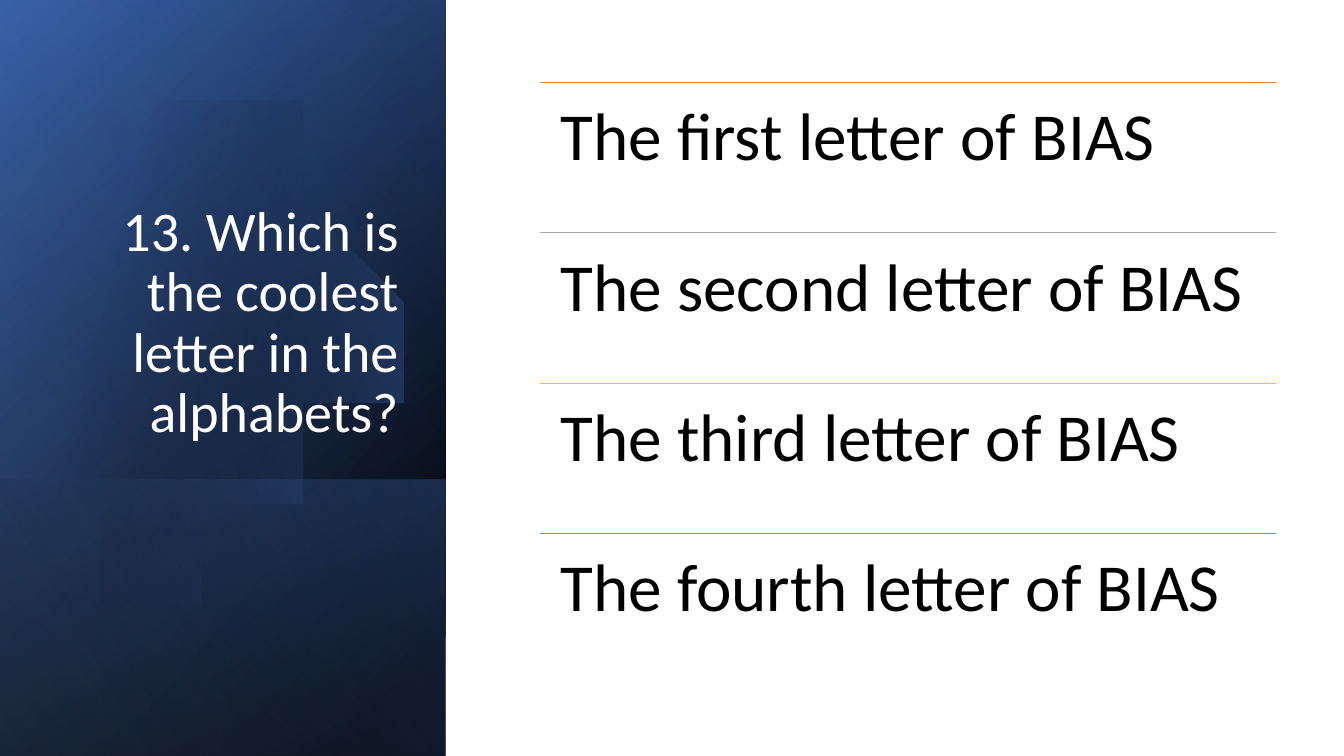
"""Build a quiz slide: a question on a blue gradient panel and four ruled answers."""
from lxml.etree import SubElement
from pptx import Presentation
from pptx.dml.color import RGBColor
from pptx.enum.shapes import MSO_CONNECTOR, MSO_SHAPE
from pptx.enum.text import MSO_ANCHOR as Anchor, PP_ALIGN as Align
from pptx.oxml import parse_xml
from pptx.oxml.ns import nsdecls, qn
from pptx.util import Inches, Pt

QUESTION = "13. Which is the coolest letter in the alphabets?"
ANSWERS = [
    ("The first letter of BIAS", "ED7D31"),
    ("The second letter of BIAS", "A5A5A5"),
    ("The third letter of BIAS", "FFC000"),
    ("The fourth letter of BIAS", "5B9BD5"),
]
FONT = "Calibri"
SLIDE_W, SLIDE_H = 13.33, 7.5
PANEL_W = 4.42
BAND_TOP = 4.76
ANSWER_LEFT, ANSWER_TOP, ANSWER_W, ANSWER_H = 5.36, 0.82, 7.3, 1.49

# Each gradient: angle, then stops of position, colour and opacity in percent.
BASE = (220, [(8, "000000", 100), (100, "2F5597", 100)])
GLOW = (240, [(0, "000000", 0), (99, "4472C4", 46)])
BAND = (140, [(2, "4472C4", 29), (100, "000000", 30)])
DISC = (14, [(29, "000000", 0), (100, "4472C4", 43)])
SHEEN = (150, [(0, "000000", 0), (99, "8FAADC", 11)])

DISC_START = (1.49, 1.1)
DISC_CURVES = [
    [(2.46, 1.12), (3.35, 1.77), (3.63, 2.75)],
    [(3.98, 3.97), (3.28, 5.23), (2.07, 5.58)],
    [(1.31, 5.8), (0.53, 5.61), (-0.03, 5.14)],
    [(-0.15, 5.03)],
    [(-0.15, 1.75)],
    [(0, 1.61)],
    [(0.23, 1.42), (0.5, 1.28), (0.8, 1.19)],
    [(1.03, 1.13), (1.26, 1.1), (1.49, 1.1)],
]
CURVE_STEPS = 24


def color(hex_string):
    return RGBColor.from_string(hex_string)


def paint(shape, gradient):
    angle, stops = gradient
    shape.shadow.inherit = False
    shape.line.fill.background()
    shape.fill.background()
    stop_xml = "".join(
        f'<a:gs pos="{pos * 1000}"><a:srgbClr val="{tone}">'
        f'<a:alpha val="{opacity * 1000}"/></a:srgbClr></a:gs>'
        for pos, tone, opacity in stops)
    grad = parse_xml(
        f'<a:gradFill {nsdecls("a")} rotWithShape="1"><a:gsLst>{stop_xml}</a:gsLst>'
        f'<a:lin ang="{angle * 60000}" scaled="0"/></a:gradFill>')
    properties = shape._element.spPr
    properties.replace(properties.find(qn("a:noFill")), grad)


def add_panel(slide, top, gradient):
    panel = slide.shapes.add_shape(
        MSO_SHAPE.RECTANGLE, 0, Inches(top), Inches(PANEL_W), Inches(SLIDE_H - top))
    paint(panel, gradient)


def curve_points(start, curve):
    if len(curve) == 1:
        return curve
    controls = [start, *curve]
    points = []
    for step in range(1, CURVE_STEPS + 1):
        t = step / CURVE_STEPS
        weights = ((1 - t) ** 3, 3 * t * (1 - t) ** 2, 3 * t * t * (1 - t), t ** 3)
        points.append(tuple(
            sum(w * point[axis] for w, point in zip(weights, controls)) for axis in (0, 1)))
    return points


def add_disc(slide):
    outline, start = [], DISC_START
    for curve in DISC_CURVES:
        outline += curve_points(start, curve)
        start = curve[-1]
    builder = slide.shapes.build_freeform(*DISC_START, scale=Inches(1))
    builder.add_line_segments(outline, close=True)
    paint(builder.convert_to_shape(), DISC)


def add_text(slide, text, box, size, tone, align, anchor, insets):
    frame = slide.shapes.add_textbox(*map(Inches, box)).text_frame
    frame.word_wrap = True
    frame.vertical_anchor = anchor
    frame.margin_left = frame.margin_right = Inches(insets[0])
    frame.margin_top = frame.margin_bottom = Inches(insets[1])
    paragraph = frame.paragraphs[0]
    paragraph.alignment = align
    paragraph.line_spacing = 0.9
    run = paragraph.add_run()
    run.text = text
    run.font.name = FONT
    run.font.size = Pt(size)
    run.font.color.rgb = color(tone)


def add_rule(slide, top, tone):
    rule = slide.shapes.add_connector(
        MSO_CONNECTOR.STRAIGHT, Inches(ANSWER_LEFT), Inches(top),
        Inches(ANSWER_LEFT + ANSWER_W), Inches(top))
    rule.line.color.rgb = color(tone)
    rule.line.width = Pt(0.5)
    SubElement(rule._element.spPr, qn("a:effectLst"))


def main():
    deck = Presentation()
    deck.slide_width, deck.slide_height = Inches(SLIDE_W), Inches(SLIDE_H)
    slide = deck.slides.add_slide(deck.slide_layouts[6])
    for top, gradient in [(0, BASE), (0, GLOW), (BAND_TOP, BAND)]:
        add_panel(slide, top, gradient)
    add_disc(slide)
    add_panel(slide, 0, SHEEN)
    add_text(slide, QUESTION, (0.64, 1.84, 3.41, 2.62), 40, "FFFFFF",
             Align.RIGHT, Anchor.BOTTOM, (0.1, 0.05))
    for row, (answer, tone) in enumerate(ANSWERS):
        top = ANSWER_TOP + row * ANSWER_H
        add_rule(slide, top, tone)
        add_text(slide, answer, (ANSWER_LEFT, top, ANSWER_W, ANSWER_H), 48, "000000",
                 Align.LEFT, Anchor.TOP, (0.2, 0.2))
    deck.save("out.pptx")


if __name__ == "__main__":
    main()
